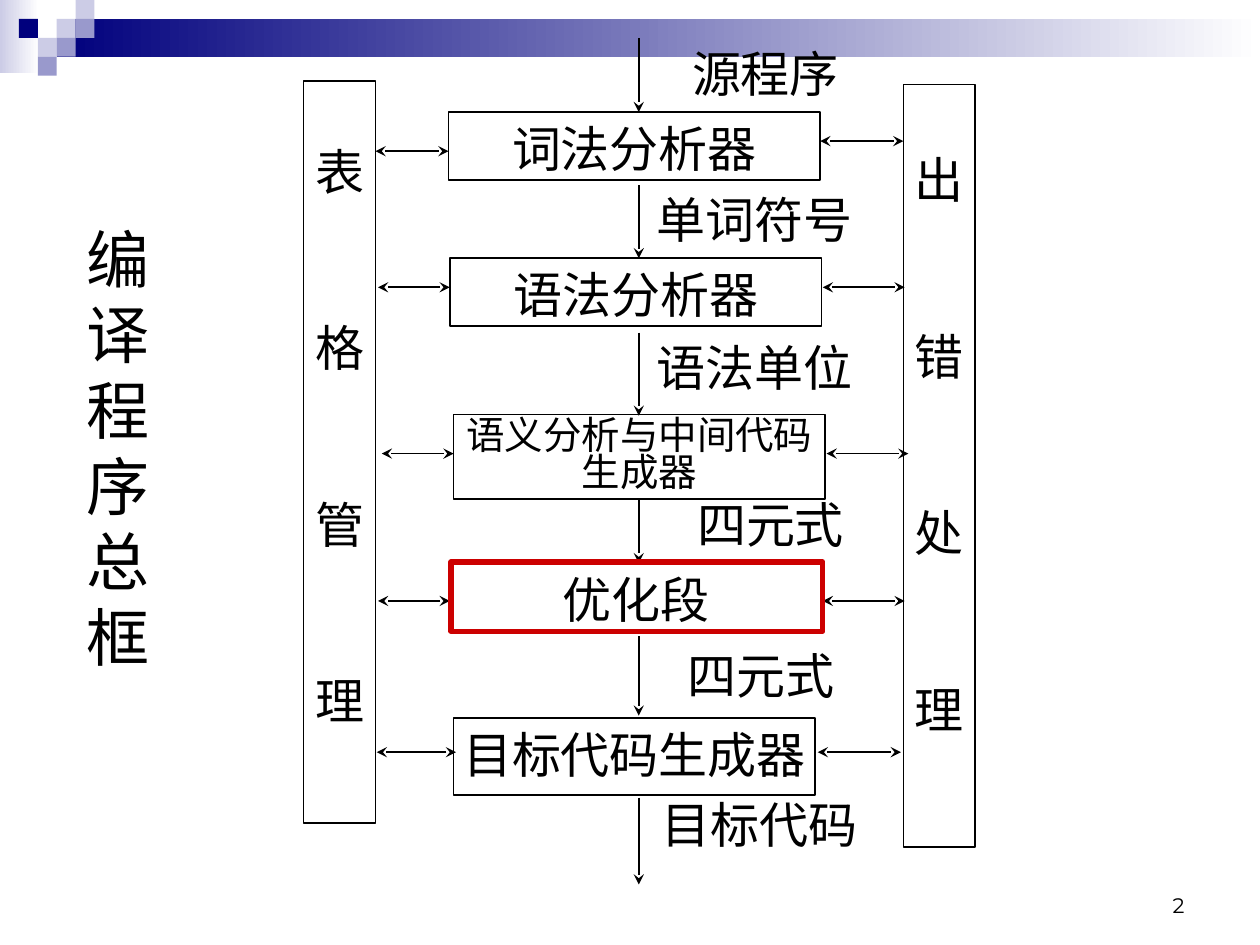
from pptx import Presentation
from pptx.dml.color import RGBColor
from pptx.enum.shapes import MSO_CONNECTOR, MSO_SHAPE
from pptx.enum.text import MSO_ANCHOR as Anchor, PP_ALIGN as Align
from pptx.oxml.ns import qn
from pptx.util import Inches, Pt
from lxml.etree import SubElement

COLORS = {"ink": "000000", "navy": "00007D", "violet": "9999CC",
          "lilac": "CCCCE6", "white": "FFFFFF", "accent": "CC0000"}
SERIF, SANS = "Times New Roman", "Noto Sans CJK SC"
FLOW_X = 5.07

# text, box, font, size of each stage
STAGES = [
    ("词法分析器", (3.56, 0.89, 2.95, 0.54), SERIF, 28),
    ("语法分析器", (3.57, 2.05, 2.95, 0.54), SERIF, 28),
    ("语义分析与中间代码生成器", (3.6, 3.29, 2.95, 0.67), SANS, 22),
    ("优化段", (3.57, 4.47, 2.95, 0.54), SANS, 28),
    ("目标代码生成器", (3.6, 5.7, 2.87, 0.61), SANS, 28),
]
# text, label box, top and bottom of the arrow beside it
FLOWS = [
    ("源程序", (5.26, 0.39, 1.63, 0.38), 0.3, 0.89),
    ("单词符号", (5.17, 1.55, 1.64, 0.38), 1.47, 2.05),
    ("语法单位", (5.17, 2.72, 1.64, 0.38), 2.64, 3.3),
    ("四元式", (5.27, 4.01, 1.69, 0.3), 3.96, 4.47),
    ("四元式", (5.27, 5.18, 1.54, 0.35), 5.05, 5.68),
    ("目标代码", (5.25, 6.35, 1.56, 0.38), 6.33, 7.02),
]
# y, then the ends of each two-way arrow
LEFT_LINKS = [(1.2, 3.56, 2.98), (2.28, 3.57, 3), (3.6, 3.6, 3.03),
              (4.77, 3.57, 3), (5.97, 3.62, 2.99)]
RIGHT_LINKS = [(1.12, 6.51, 7.17), (2.28, 6.53, 7.18), (3.6, 6.56, 7.21),
               (4.77, 6.53, 7.18), (5.97, 6.49, 7.15)]


def rgb(name):
    return RGBColor.from_string(COLORS[name])


def write(shape, lines, *, size=28, font=SERIF, align=Align.CENTER,
          anchor=Anchor.TOP, insets=(0, 0.05, 0, 0.05), wrap=True,
          gap=0, spacing=None):
    """Fill a shape with one paragraph per line; gap is the space between."""
    frame = shape.text_frame
    frame.word_wrap, frame.vertical_anchor = wrap, anchor
    (frame.margin_left, frame.margin_top,
     frame.margin_right, frame.margin_bottom) = map(Inches, insets)
    frame.text = "\n".join(lines)
    for index, paragraph in enumerate(frame.paragraphs):
        paragraph.alignment = align
        if spacing:
            paragraph.line_spacing = spacing
        if index and gap:
            paragraph.space_before = Pt(gap)
        run_font = paragraph.runs[0].font
        run_font.size, run_font.name = Pt(size), font
        run_font.color.rgb = rgb("ink")


def add_label(slide, box, text, **style):
    write(slide.shapes.add_textbox(*map(Inches, box)), [text], **style)


def add_rect(slide, box, fill=None, fade_to=None, line=None, width=1):
    rect = slide.shapes.add_shape(MSO_SHAPE.RECTANGLE, *map(Inches, box))
    rect.shadow.inherit = False
    if fade_to:
        rect.fill.gradient()
        rect.fill.gradient_angle = 0
        for stop, color in zip(rect.fill.gradient_stops, (fill, fade_to)):
            stop.color.rgb = rgb(color)
    elif fill:
        rect.fill.solid()
        rect.fill.fore_color.rgb = rgb(fill)
    else:
        rect.fill.background()
    if line:
        rect.line.color.rgb = rgb(line)
        rect.line.width = Pt(width)
    else:
        rect.line.fill.background()
    return rect


def add_arrow(slide, start, end, two_way=False):
    arrow = slide.shapes.add_connector(
        MSO_CONNECTOR.STRAIGHT, *map(Inches, start + end))
    arrow.line.color.rgb = rgb("ink")
    arrow.line.width = Pt(1)
    outline = arrow.line._get_or_add_ln()
    for tag in ("a:headEnd", "a:tailEnd") if two_way else ("a:tailEnd",):
        SubElement(outline, qn(tag), type="stealth", w="med", len="med")
    SubElement(arrow._element.spPr, qn("a:effectLst"))


def add_banner(slide, left, top, width):
    """Draw the fading bars and the mosaic of small squares."""
    cell = 0.15
    add_rect(slide, (left, top, 0.31, 0.58), "lilac", "white")
    add_rect(slide, (left + 0.45, top + cell, width - 0.45, 2 * cell),
             "navy", "white")
    mosaic = [(3, 1, "lilac"), (4, 0, "lilac"), (4, 1, "violet"),
              (2, 2, "lilac"), (1, 1, "navy"), (3, 2, "violet"),
              (2, 3, "violet")]
    for column, row, color in mosaic:
        add_rect(slide, (left + column * cell, top + row * cell, cell, cell),
                 color)


def add_pillar(slide, box, characters, first_line):
    """Draw a tall box with its characters spread downwards."""
    write(add_rect(slide, box, line="ink"), characters,
          insets=(0, first_line, 0, 0.05), gap=67.2)


def add_stage(slide, box, text, font, size):
    rect = add_rect(slide, box, line="ink")
    if size < 28:
        write(rect, [text], size=size, font=font, anchor=Anchor.MIDDLE,
              insets=(0, 0, 0, 0), spacing=0.8)
    else:
        write(rect, [text], size=size, font=font)


def add_flow(slide, box, text, top, bottom):
    add_label(slide, box, text, anchor=Anchor.MIDDLE, wrap=False)
    add_arrow(slide, (FLOW_X, top), (FLOW_X, bottom))


def main():
    deck = Presentation()
    deck.slide_width, deck.slide_height = Inches(10), Inches(7.5)
    slide = deck.slides.add_slide(deck.slide_layouts[6])

    add_banner(slide, 0, 0, 10)
    add_label(slide, (7.17, 6.83, 2.33, 0.5), "2", size=12, font="Montserrat",
              align=Align.RIGHT, anchor=Anchor.BOTTOM,
              insets=(0.1, 0.05, 0.1, 0.05))
    for text, box, top, bottom in FLOWS:
        add_flow(slide, box, text, top, bottom)
    for text, box, font, size in STAGES:
        add_stage(slide, box, text, font, size)
    add_pillar(slide, (2.41, 0.64, 0.57, 5.89), "表格管理", 0.48)
    add_pillar(slide, (7.17, 0.67, 0.57, 6.05), "出错处理", 0.52)
    for y, start, end in LEFT_LINKS + RIGHT_LINKS:
        add_arrow(slide, (start, y), (end, y), two_way=True)
    add_label(slide, (0.59, 1.7, 0.71, 4.3), "编译程序总框", size=36,
              font=SANS, align=Align.LEFT, insets=(0.1, 0.05, 0.1, 0.05))
    add_rect(slide, (3.58, 4.46, 2.95, 0.55), line="accent", width=3)
    deck.save("out.pptx")


if __name__ == "__main__":
    main()
